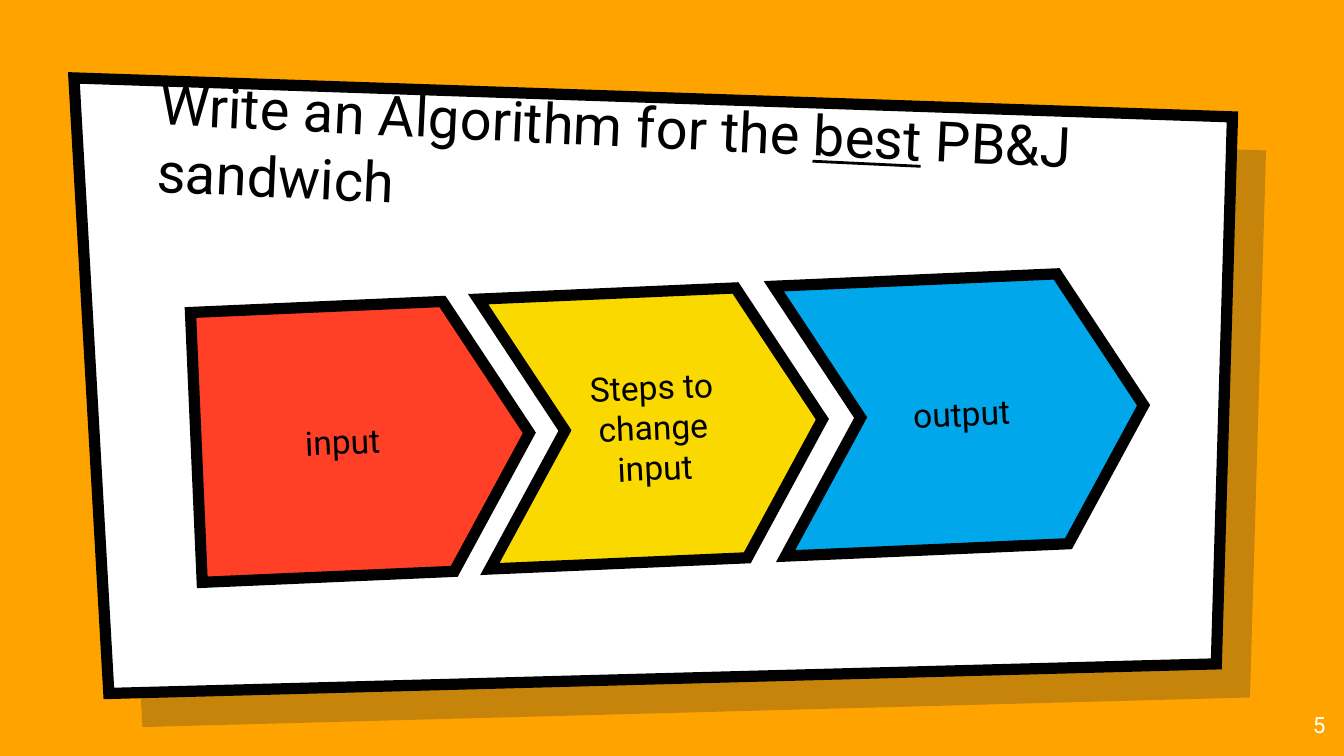
from dataclasses import dataclass

from lxml import etree
from pptx import Presentation
from pptx.dml.color import RGBColor
from pptx.enum.shapes import MSO_SHAPE
from pptx.enum.text import MSO_ANCHOR, PP_ALIGN
from pptx.oxml.ns import qn
from pptx.util import Inches, Pt

PENTAGON, CHEVRON = MSO_SHAPE.PENTAGON, MSO_SHAPE.CHEVRON
TOP, MIDDLE, BOTTOM = MSO_ANCHOR.TOP, MSO_ANCHOR.MIDDLE, MSO_ANCHOR.BOTTOM
LEFT, CENTER, RIGHT = PP_ALIGN.LEFT, PP_ALIGN.CENTER, PP_ALIGN.RIGHT


@dataclass(frozen=True)
class Theme:
    font: str = "Roboto"
    background: str = "FFA300"
    panel: str = "FFFFFF"
    shadow: str = "001936"
    shadow_alpha: int = 22
    ink: str = "000000"
    page: str = "FFFFFF"
    input: str = "FF4026"
    process: str = "FAD900"
    output: str = "00A7EB"
    title_size: int = 30
    label_size: int = 18
    page_size: int = 12
    outline: int = 6


def write_text(frame, runs, *, font, size, color, align=LEFT, anchor=TOP):
    frame.word_wrap = True
    frame.vertical_anchor = anchor
    frame.margin_left = frame.margin_right = Inches(0.1)
    frame.margin_top = frame.margin_bottom = Inches(0.1)
    paragraph = frame.paragraphs[0]
    paragraph.alignment = align
    for words, underlined in runs:
        run = paragraph.add_run()
        run.text = words
        run.font.name = font
        run.font.size = Pt(size)
        run.font.color.rgb = RGBColor.from_string(color)
        run.font.underline = underlined


class SlideBuilder:
    def __init__(self, slide, theme):
        self.slide = slide
        self.theme = theme
        fill = slide.background.fill
        fill.solid()
        fill.fore_color.rgb = RGBColor.from_string(theme.background)

    def paint(self, shape, color, outlined=True, alpha=None):
        shape.shadow.inherit = False
        shape.fill.solid()
        shape.fill.fore_color.rgb = RGBColor.from_string(color)
        if alpha is not None:
            tint = shape.fill._xPr.find(qn("a:solidFill"))[0]
            etree.SubElement(tint, qn("a:alpha")).set("val", str(alpha * 1000))
        if outlined:
            shape.line.width = Pt(self.theme.outline)
            shape.line.color.rgb = RGBColor.from_string(self.theme.ink)
            miter = etree.SubElement(shape.line._get_or_add_ln(), qn("a:miter"))
            miter.set("lim", "800000")
        else:
            shape.line.fill.background()

    def polygon(self, corners, color, offset=0, **style):
        points = [(Inches(x + offset), Inches(y + offset)) for x, y in corners]
        builder = self.slide.shapes.build_freeform(*points[0])
        builder.add_line_segments(points[1:], close=True)
        self.paint(builder.convert_to_shape(), color, **style)

    def text(self, box, runs, rotation=0, **style):
        label = self.slide.shapes.add_textbox(*map(Inches, box))
        label.rotation = rotation
        write_text(label.text_frame, runs, font=self.theme.font, **style)

    def step(self, kind, box, words, color):
        arrow = self.slide.shapes.add_shape(kind, *map(Inches, box))
        arrow.adjustments[0] = 0.3
        arrow.rotation = -2.5
        self.paint(arrow, color)
        write_text(arrow.text_frame, [(words, False)], font=self.theme.font,
                   size=self.theme.label_size, color=self.theme.ink,
                   align=CENTER, anchor=MIDDLE)


def main():
    theme = Theme()
    deck = Presentation()
    deck.slide_width = Inches(10)
    deck.slide_height = deck.slide_width * 9 // 16
    page = SlideBuilder(deck.slides.add_slide(deck.slide_layouts[6]), theme)

    panel = [(0.55, 0.58), (9.17, 0.87), (9.05, 4.94), (0.81, 5.16)]
    page.polygon(panel, theme.shadow, offset=0.25, outlined=False,
                 alpha=theme.shadow_alpha)
    page.polygon(panel, theme.panel)

    title = [("Write an Algorithm for the ", False), ("best", True),
             (" PB&J sandwich", False)]
    page.text((1.07, 0.96, 7.69, 0.83), title, rotation=2.7,
              size=theme.title_size, color=theme.ink, anchor=BOTTOM)

    steps = [
        (PENTAGON, 1.46, 2.48, "input", theme.input),
        (CHEVRON, 3.6, 2.52, "Steps to change input", theme.process),
        (CHEVRON, 5.8, 2.71, "output", theme.output),
    ]
    for index, (kind, left, width, words, color) in enumerate(steps):
        page.step(kind, (left, 2.27 - 0.1 * index, width, 2.01), words, color)

    page.text((9.36, 5.19, 0.6, 0.43), [("5", False)],
              size=theme.page_size, color=theme.page, align=RIGHT)
    deck.save("out.pptx")


if __name__ == "__main__":
    main()
